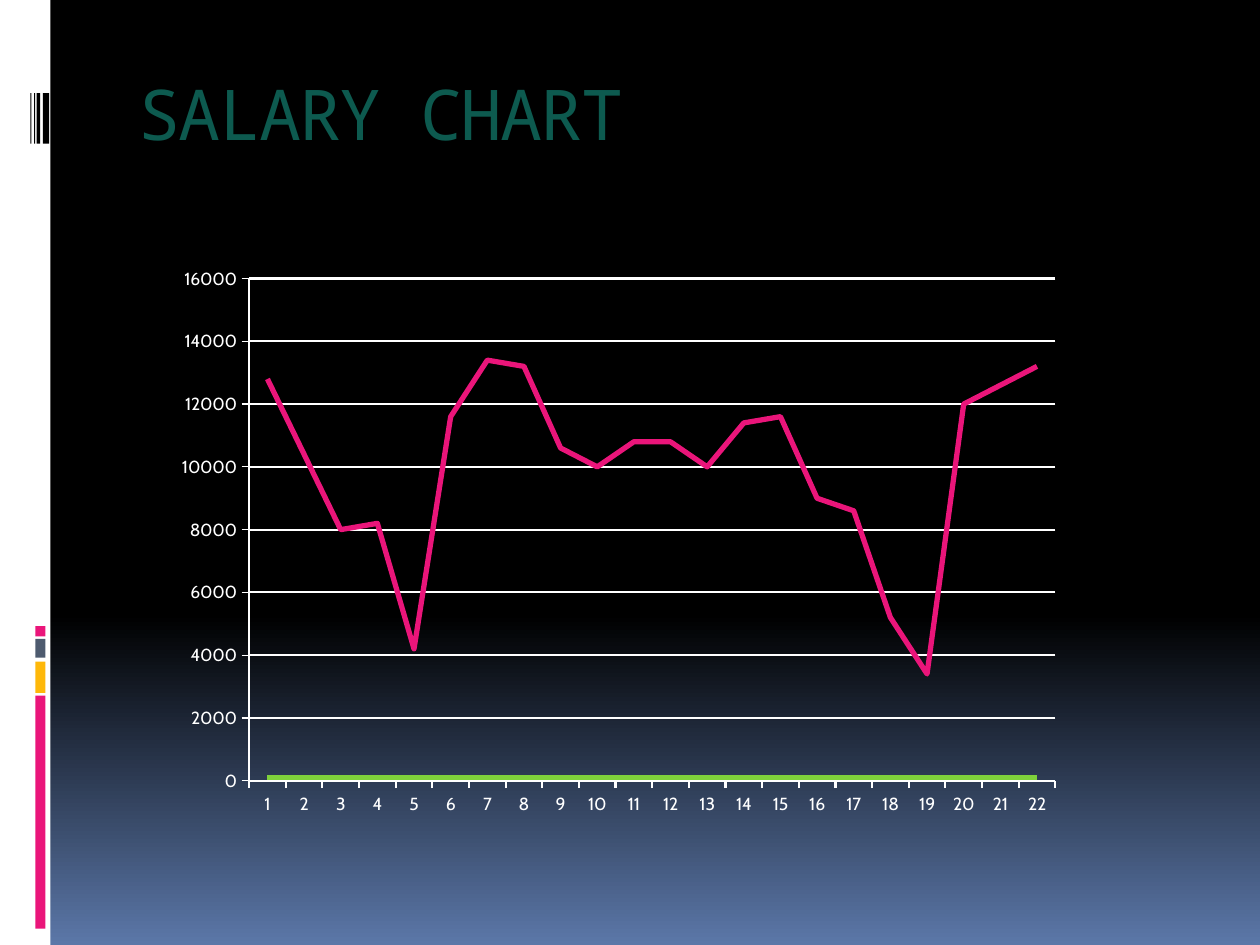
from copy import deepcopy

from lxml import etree
from pptx import Presentation
from pptx.chart.data import CategoryChartData
from pptx.dml.color import RGBColor
from pptx.enum.chart import XL_CHART_TYPE as ChartType, XL_MARKER_STYLE as Marker
from pptx.enum.chart import XL_TICK_MARK as Tick
from pptx.enum.shapes import MSO_SHAPE as Shape
from pptx.enum.text import MSO_ANCHOR as Anchor, PP_ALIGN as Align
from pptx.oxml import parse_xml
from pptx.oxml.ns import nsdecls, qn
from pptx.util import Inches, Pt

BLACK = RGBColor(0x00, 0x00, 0x00)
WHITE = RGBColor(0xFF, 0xFF, 0xFF)
BLUE = RGBColor(0x5B, 0x77, 0xA8)
SLATE = RGBColor(0x4E, 0x5B, 0x6F)
PINK = RGBColor(0xEA, 0x15, 0x7A)
AMBER = RGBColor(0xFE, 0xB8, 0x0A)
GREEN = RGBColor(0x7F, 0xD1, 0x3B)
TEAL = RGBColor(0x0D, 0x5A, 0x4F)

# left, top, width, height, colour
SIDE_BARS = [
    (0, 0, 0.4, 7.5, WHITE),
    (0.28, 5.52, 0.08, 1.85, PINK),
    (0.28, 5.25, 0.08, 0.25, AMBER),
    (0.28, 5.07, 0.08, 0.15, SLATE),
    (0.28, 4.97, 0.08, 0.08, PINK),
]
# left, width of each barcode stripe
BARCODE = [(0.34, 0.05), (0.29, 0.03), (0.27, 0.01), (0.24, 0.01)]

SALARIES = [12800, 10400, 8000, 8200, 4200, 11600, 13400, 13200, 10600, 10000, 10800,
            10800, 10000, 11400, 11600, 9000, 8600, 5200, 3400, 12000, 12600, 13200]
BASELINE = [100] * len(SALARIES)


def paint_background(slide):
    fill = slide.background.fill
    fill.gradient()
    fill.gradient_angle = 270
    first_stop = fill.gradient_stops[0]._gs
    first_stop.addnext(deepcopy(first_stop))
    for stop, (position, color) in zip(fill.gradient_stops, [(0, BLACK), (0.65, BLACK), (1, BLUE)]):
        stop.position = position
        stop.color.rgb = color


def add_bar(slide, left, top, width, height, color):
    bar = slide.shapes.add_shape(Shape.RECTANGLE, Inches(left), Inches(top),
                                 Inches(width), Inches(height))
    bar.shadow.inherit = False
    bar.fill.solid()
    bar.fill.fore_color.rgb = color
    bar.line.fill.background()


def set_title(slide, wording):
    title = slide.shapes.title
    title.left, title.top = Inches(1), Inches(0.56)
    title.width, title.height = Inches(8.5), Inches(1)
    frame = title.text_frame
    frame.vertical_anchor = Anchor.TOP
    frame.margin_top = 0
    heading = frame.paragraphs[0]
    heading.alignment = Align.LEFT
    run = heading.add_run()
    run.text = wording
    run.font.name = "Noto Sans Mono"
    run.font.size = Pt(40)
    run.font.color.rgb = TEAL
    run.font._element.set("spc", "-100")


def style_axis(axis, line_width):
    axis.major_tick_mark = Tick.OUTSIDE
    axis.minor_tick_mark = Tick.NONE
    axis.format.line.color.rgb = WHITE
    axis.format.line.width = Pt(line_width)


def fix_plot_area(chart, x, y, width, height):
    plot_area = chart._chartSpace.chart.plotArea
    for old_layout in plot_area.findall(qn("c:layout")):
        plot_area.remove(old_layout)
    layout = parse_xml(f"<c:layout {nsdecls('c')}/>")
    manual = etree.SubElement(layout, qn("c:manualLayout"))
    settings = [("layoutTarget", "inner"), ("xMode", "edge"), ("yMode", "edge"),
                ("x", x), ("y", y), ("w", width), ("h", height)]
    for tag, value in settings:
        etree.SubElement(manual, qn(f"c:{tag}")).set("val", str(value))
    plot_area.insert(0, layout)


def add_salary_chart(slide):
    chart_data = CategoryChartData()
    chart_data.categories = [str(n) for n in range(1, len(SALARIES) + 1)]
    chart_data.add_series("Series 1", BASELINE)
    chart_data.add_series("Series 2", SALARIES)
    chart = slide.shapes.add_chart(ChartType.LINE, Inches(1.33), Inches(2.03),
                                   Inches(7.19), Inches(4.53), chart_data).chart
    chart.has_legend = False
    chart.has_title = False
    chart.font.name = "Cabin"
    chart.font.size = Pt(10)
    chart.font.color.rgb = WHITE

    # Axes and gridlines
    style_axis(chart.category_axis, 1.25)
    salary_axis = chart.value_axis
    style_axis(salary_axis, 0.75)
    salary_axis.minimum_scale, salary_axis.maximum_scale = 0, 16000
    salary_axis.major_unit = 2000
    salary_axis.has_major_gridlines = True
    gridline = salary_axis.major_gridlines.format.line
    gridline.color.rgb = WHITE
    gridline.width = Pt(1.25)

    # Series lines
    plot = chart.plots[0]
    plot.vary_by_categories = False
    for series, color in zip(plot.series, (GREEN, PINK)):
        series.smooth = False
        series.marker.style = Marker.NONE
        series.format.line.color.rgb = color
        series.format.line.width = Pt(3)

    fix_plot_area(chart, 0.09, 0.04, 0.89, 0.88)


def main():
    prs = Presentation()
    prs.slide_width, prs.slide_height = Inches(10), Inches(7.5)
    slide = prs.slides.add_slide(prs.slide_layouts[5])

    # Background and side decoration
    paint_background(slide)
    for bar in SIDE_BARS:
        add_bar(slide, *bar)
    for left, width in BARCODE:
        add_bar(slide, left, 0.74, width, 0.4, BLACK)

    # Content
    set_title(slide, "SALARY CHART")
    add_salary_chart(slide)
    prs.save("out.pptx")


if __name__ == "__main__":
    main()
